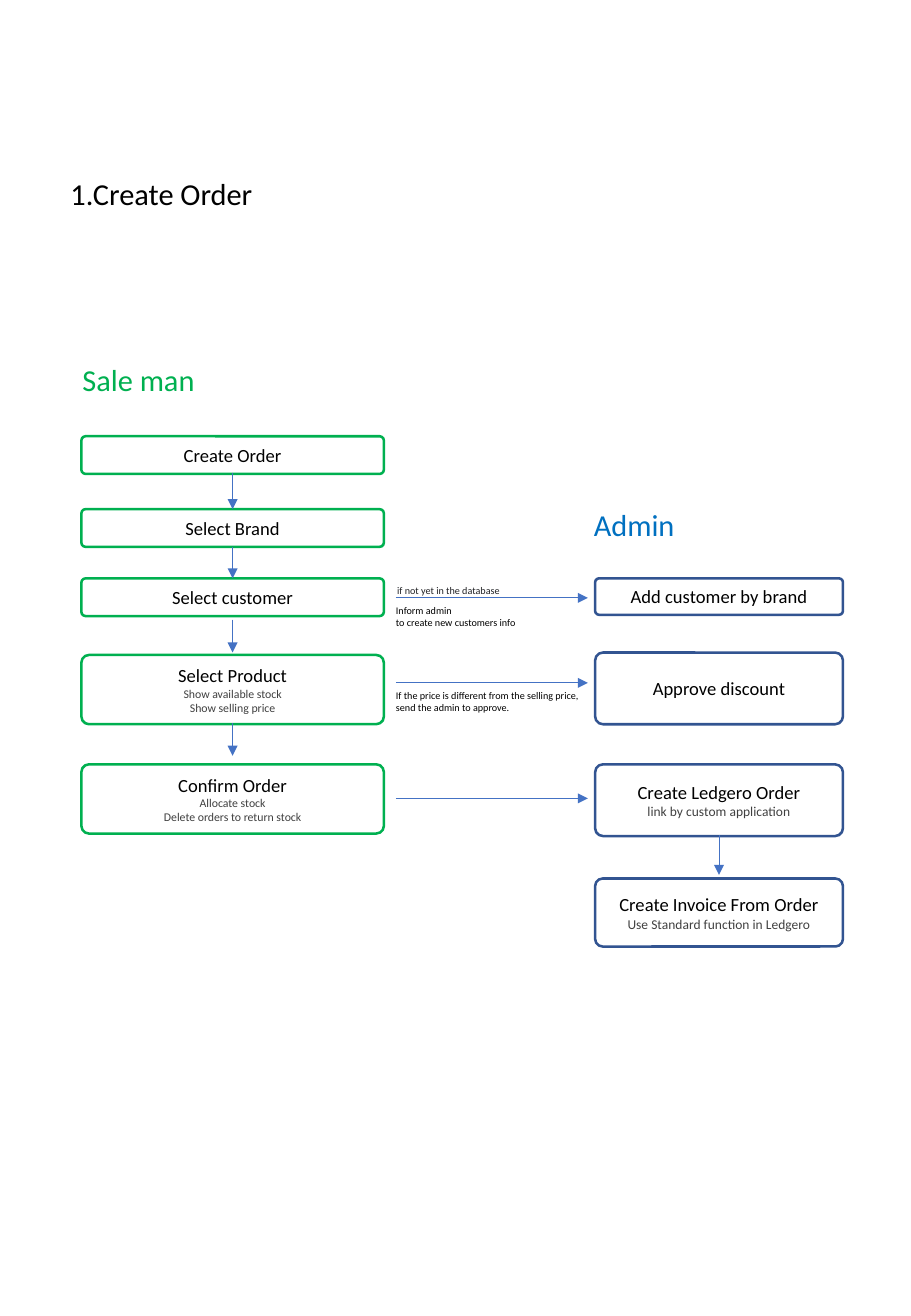
from lxml import etree
from pptx import Presentation
from pptx.dml.color import RGBColor
from pptx.enum.shapes import MSO_CONNECTOR, MSO_SHAPE
from pptx.enum.text import MSO_ANCHOR, MSO_AUTO_SIZE, PP_ALIGN
from pptx.oxml.ns import qn
from pptx.util import Inches, Pt

STRAIGHT = MSO_CONNECTOR.STRAIGHT
ROUNDED = MSO_SHAPE.ROUNDED_RECTANGLE
TOP, MIDDLE = MSO_ANCHOR.TOP, MSO_ANCHOR.MIDDLE
LEFT, CENTER = PP_ALIGN.LEFT, PP_ALIGN.CENTER
NO_AUTOFIT = MSO_AUTO_SIZE.NONE

BLACK = RGBColor(0x00, 0x00, 0x00)
GREY = RGBColor(0x40, 0x40, 0x40)
INK = RGBColor(0x20, 0x21, 0x24)
GREEN = RGBColor(0x00, 0xB0, 0x50)
BLUE = RGBColor(0x00, 0x70, 0xC0)
NAVY = RGBColor(0x32, 0x54, 0x91)
ARROW = RGBColor(0x44, 0x72, 0xC4)

SALES_X, SALES_W = 0.67, 2.49
ADMIN_X, ADMIN_W = 4.9, 2.04
LINK_X1, LINK_X2 = 3.26, 4.84
SALES_MID = SALES_X + SALES_W / 2
ADMIN_MID = ADMIN_X + ADMIN_W / 2


class FlowSlide:
    font = "Calibri"

    def __init__(self, s):
        self.s = s

    def fill_text(self, tf, lines, align=LEFT, anchor=TOP):
        tf.word_wrap = True
        tf.auto_size = NO_AUTOFIT
        tf.vertical_anchor = anchor
        for i, (text, size, color) in enumerate(lines):
            p = tf.add_paragraph() if i else tf.paragraphs[0]
            p.alignment = align
            r = p.add_run()
            r.text = text
            r.font.name = self.font
            r.font.size = Pt(size)
            r.font.color.rgb = color

    def title(self, text, x, y, w, h):
        sp = self.s.shapes.title
        sp.left, sp.top, sp.width, sp.height = map(Inches, (x, y, w, h))
        self.fill_text(sp.text_frame, [(text, 18, BLACK)])

    def heading(self, text, x, y, w, color):
        sp = self.s.shapes.add_textbox(*map(Inches, (x, y, w, 0.4)))
        self.fill_text(sp.text_frame, [(text, 18, color)])

    def note(self, texts, x, y, w, h, color=BLACK):
        sp = self.s.shapes.add_textbox(*map(Inches, (x, y, w, h)))
        tf = sp.text_frame
        tf.margin_left = tf.margin_right = 0
        tf.margin_top = tf.margin_bottom = 0
        self.fill_text(tf, [(t, 6, color) for t in texts], anchor=MIDDLE)

    def step(self, x, y, w, h, color, name, details=(), detail_size=7):
        sp = self.s.shapes.add_shape(ROUNDED, *map(Inches, (x, y, w, h)))
        sp.adjustments[0] = 0.11
        sp.shadow.inherit = False
        sp.fill.background()
        sp.line.color.rgb = color
        sp.line.width = Pt(1.5)
        lines = [(name, 11, BLACK)] + [(d, detail_size, GREY) for d in details]
        self.fill_text(sp.text_frame, lines, CENTER, MIDDLE)

    def arrow(self, x1, y1, x2, y2):
        c = self.s.shapes.add_connector(STRAIGHT, *map(Inches, (x1, y1, x2, y2)))
        c.line.color.rgb = ARROW
        c.line.width = Pt(0.5)
        sp_pr = c._element.spPr
        etree.SubElement(sp_pr.find(qn("a:ln")), qn("a:tailEnd"), type="triangle")
        etree.SubElement(sp_pr, qn("a:effectLst"))


def main():
    prs = Presentation()
    prs.slide_width, prs.slide_height = Inches(7.5), Inches(10.83)
    flow = FlowSlide(prs.slides.add_slide(prs.slide_layouts[5]))

    flow.title("1.Create Order", 0.48, 1.39, 3.43, 0.4)
    flow.heading("Sale man", 0.58, 2.92, 2.68, GREEN)
    flow.heading("Admin", 4.79, 4.12, 1.58, BLUE)

    for y, h, name, details in (
        (3.59, 0.31, "Create Order", ()),
        (4.19, 0.31, "Select Brand", ()),
        (4.76, 0.31, "Select customer", ()),
        (5.39, 0.57, "Select Product", ("Show available stock", "Show selling price")),
        (6.29, 0.57, "Confirm Order", ("Allocate stock", "Delete orders to return stock")),
    ):
        flow.step(SALES_X, y, SALES_W, h, GREEN, name, details)

    for y, h, name, details in (
        (4.76, 0.3, "Add customer by brand", ()),
        (5.37, 0.59, "Approve discount", ()),
        (6.29, 0.59, "Create Ledgero Order", ("link by custom application",)),
        (7.23, 0.56, "Create Invoice From Order", ("Use Standard function in Ledgero",)),
    ):
        flow.step(ADMIN_X, y, ADMIN_W, h, NAVY, name, details, 8)

    for y1, y2 in ((3.89, 4.19), (4.5, 4.76), (5.1, 5.37), (5.95, 6.22)):
        flow.arrow(SALES_MID, y1, SALES_MID, y2)
    flow.arrow(ADMIN_MID, 6.87, ADMIN_MID, 7.2)
    for y in (4.92, 5.62, 6.57):
        flow.arrow(LINK_X1, y, LINK_X2, y)

    flow.note(["if not yet in the database"], 3.27, 4.8, 0.97, 0.11, INK)
    flow.note(["Inform admin", "to create new customers info"], LINK_X1, 4.97, 1.58, 0.21)
    flow.note(
        ["If the price is different from the selling price, send the admin to approve."],
        LINK_X1, 5.67, 1.58, 0.21,
    )

    prs.save("out.pptx")


if __name__ == "__main__":
    main()
